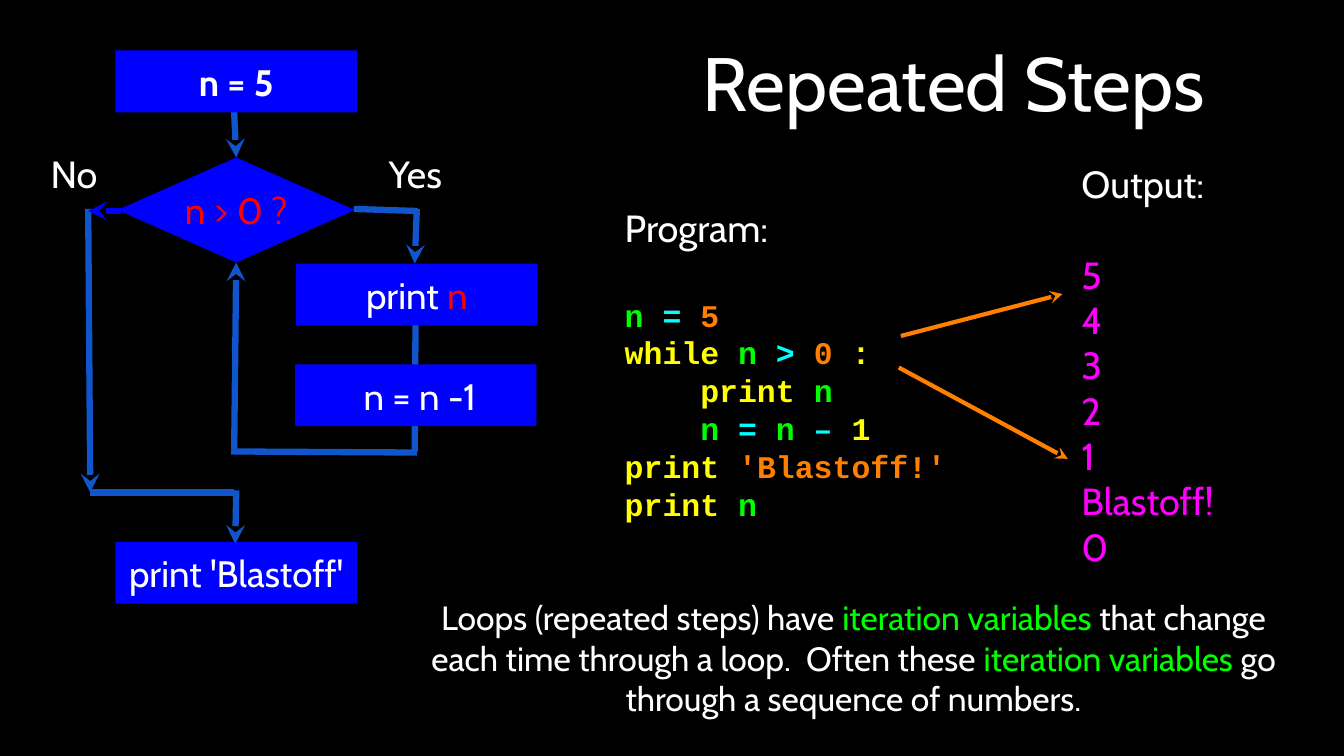
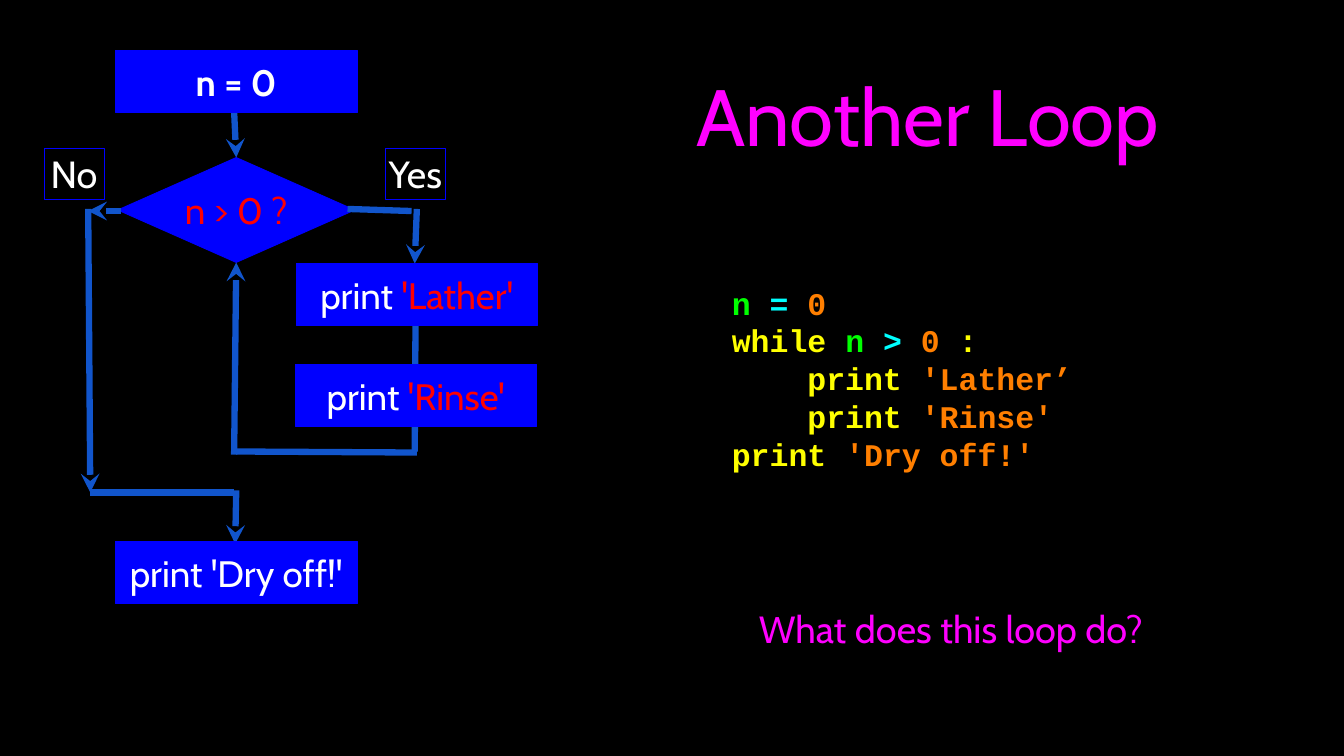
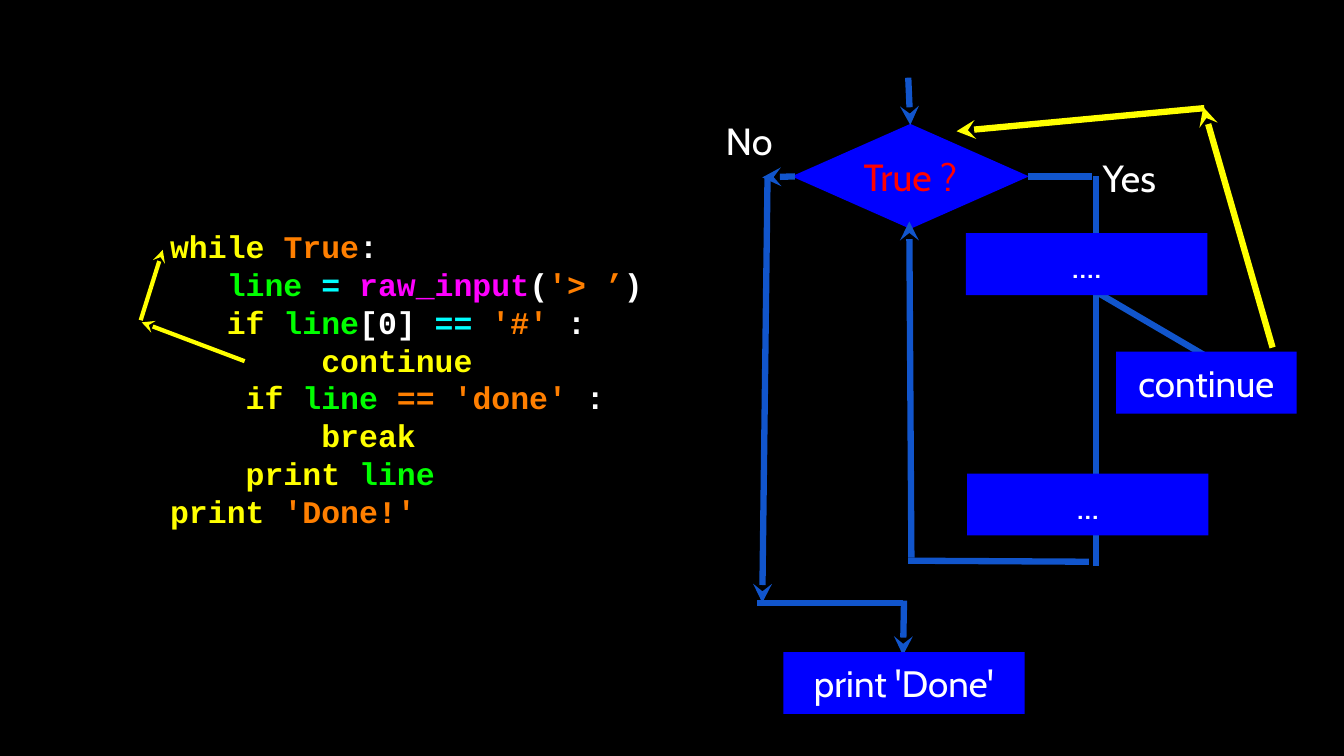
from pptx import Presentation
from pptx.dml.color import RGBColor
from pptx.enum import shapes, text
from pptx.oxml import parse_xml
from pptx.oxml.ns import nsdecls
from pptx.util import Pt

COLOURS = {
    "black": "000000", "white": "FFFFFF", "blue": "0000FF", "flow": "1155CC",
    "red": "FF0000", "green": "00FF00", "cyan": "00FFFF", "orange": "FF7F00",
    "yellow": "FFFF00", "magenta": "FF00FF",
}
BODY_FONT, CODE_FONT = "Cabin", "Courier New"
SLIDE_SIZE = (1280, 720)
BOX_SIZE, DIAMOND_SIZE, LABEL_SIZE = (230, 59), (226, 100), (57, 49)
BLANK_LINE = 43  # gap below a heading, one line of 36 pt text

# ---- Content: a text line is a list of (colour, words) ----
REPEATED_CODE = [
    [("green", "n "), ("cyan", "= "), ("orange", "5")],
    [("yellow", "while "), ("green", "n "), ("cyan", "> "), ("orange", "0"), ("yellow", " :")],
    [("yellow", "    print "), ("green", "n")],
    [("yellow", "    "), ("green", "n "), ("cyan", "= "), ("green", "n "), ("cyan", "–"),
     ("yellow", " 1")],
    [("yellow", "print "), ("orange", "'Blastoff!'")],
    [("yellow", "print "), ("green", "n")],
]
LATHER_CODE = [
    [("green", "n "), ("cyan", "= "), ("orange", "0")],
    [("yellow", "while "), ("green", "n "), ("cyan", "> "), ("orange", "0"), ("yellow", " :")],
    [("yellow", "    print "), ("orange", "'Lather’")],
    [("yellow", "    print "), ("orange", "'Rinse'")],
    [("yellow", "print "), ("orange", "'Dry off!'")],
]
CONTINUE_CODE = [
    [("yellow", "while "), ("orange", "True"), ("white", ":")],
    [("white", "   "), ("green", "line "), ("cyan", "= "), ("magenta", "raw_input"),
     ("white", "("), ("orange", "'> ’"), ("white", ")")],
    [("white", "   "), ("yellow", "if"), ("green", " line"), ("white", "[0] "), ("cyan", "== "),
     ("orange", "'#' "), ("white", ":")],
    [("white", "        "), ("yellow", "continue")],
    [("white", "    "), ("yellow", "if "), ("green", "line "), ("orange", "== 'done' "),
     ("white", ":")],
    [("white", "        "), ("yellow", "break")],
    [("white", "    "), ("yellow", "print "), ("green", "line")],
    [("yellow", "print "), ("orange", "'Done!'")],
]
OUTPUT = ["5", "4", "3", "2", "1", "Blastoff!", "0"]
LOOP_NOTE = [
    ("white", "Loops (repeated steps) have "), ("green", "iteration variables "),
    ("white", "that change each time through a loop.  Often these "),
    ("green", "iteration variables "), ("white", "go through a sequence of numbers."),
]
# Steps in order: start, first and second in the loop, end
REPEATED_STEPS = [
    [("white", "n = 5")], [("white", "print "), ("red", "n")],
    [("white", " n = n -1")], [("white", "print 'Blastoff'")],
]
LATHER_STEPS = [
    [("white", "n = 0")], [("white", "print "), ("red", "'Lather'")],
    [("white", "print "), ("red", "'Rinse'")], [("white", "print 'Dry off!'")],
]
STEP_PLACES = [(110, 48), (282, 251), (281, 347), (110, 516)]

# Lines: start, end, arrow at the end
LOOP_LINES = [
    ((223, 106), (225, 150), True),    # into the test
    ((223, 433), (225, 250), True),    # back to the test
    ((397, 199), (395, 251), True),    # into the loop body
    ((396, 265), (395, 430), False),
    ((225, 430), (397, 431), False),
    ((84, 199), (86, 469), True),      # past the loop
    ((86, 469), (223, 469), False),
    ((225, 467), (224, 518), True),
]
CONTINUE_LINES = [
    ((865, 74), (867, 119), True),     # into the test
    ((868, 531), (866, 211), True),    # back to the test
    ((979, 168), (1040, 168), False),  # Yes branch
    ((1044, 168), (1044, 539), False),
    ((865, 534), (1037, 535), False),
    ((757, 168), (726, 169), True),    # No branch
    ((731, 168), (726, 574), True),
    ((721, 574), (860, 574), False),
    ((861, 572), (860, 624), True),
    ((1150, 340), (1039, 275), False),  # side step
]
CONTINUE_BOXES = [
    ((746, 621), BOX_SIZE, "print 'Done'"), ((921, 451), BOX_SIZE, "..."),
    ((920, 222), BOX_SIZE, "...."), ((1063, 335), (172, 59), "continue"),
]


# ---- Building blocks ----
def colour(name):
    return RGBColor.from_string(COLOURS[name])


def write(shape, lines, size, font=BODY_FONT, bold=False, align="CENTER", heading=None):
    """Fill a shape with coloured lines, below an optional 36 pt heading."""
    frame = shape.text_frame
    frame.word_wrap = True
    frame.vertical_anchor = text.MSO_ANCHOR.MIDDLE
    frame.margin_left = frame.margin_right = frame.margin_top = frame.margin_bottom = 0
    entries = [(line, size, font, bold) for line in lines]
    if heading:
        entries.insert(0, ([("white", heading)], 36, BODY_FONT, False))
    for index, (line, points, face, heavy) in enumerate(entries):
        paragraph = frame.add_paragraph() if index else frame.paragraphs[0]
        paragraph.alignment = getattr(text.PP_ALIGN, align)
        paragraph.font.size, paragraph.font.name, paragraph.font.bold = Pt(points), face, heavy
        if face == CODE_FONT:
            paragraph.line_spacing = Pt(36)
        if heading and index == 0:
            paragraph.space_after = Pt(BLANK_LINE)
        for name, words in line:
            run = paragraph.add_run()
            run.text = words
            run.font.color.rgb = colour(name)


def add_text(slide, place, size, lines, points=36, **style):
    box = slide.shapes.add_textbox(*map(Pt, place + size))
    write(box, lines, points, **style)


def add_code(slide, place, size, lines, heading=None):
    add_text(slide, place, size, lines, 30, font=CODE_FONT, bold=True, align="LEFT",
             heading=heading)


def add_box(slide, place, size, line, points=35, kind="RECTANGLE", bold=False,
            filled=True, outlined=False):
    shape = slide.shapes.add_shape(getattr(shapes.MSO_SHAPE, kind), *map(Pt, place + size))
    shape.shadow.inherit = False
    if filled:
        shape.fill.solid()
        shape.fill.fore_color.rgb = colour("blue")
    else:
        shape.fill.background()
    if outlined:
        shape.line.color.rgb = colour("blue")
        shape.line.width = Pt(0.75)
    else:
        shape.line.fill.background()
    write(shape, [line], points, bold=bold)


def add_line(slide, start, end, arrow=True, name="flow", width=6):
    connector = slide.shapes.add_connector(shapes.MSO_CONNECTOR.STRAIGHT,
                                           *map(Pt, start + end))
    connector.line.color.rgb = colour(name)
    connector.line.width = Pt(width)
    if arrow:
        connector.line._get_or_add_ln().append(
            parse_xml(f'<a:tailEnd {nsdecls("a")} type="stealth"/>'))
    connector._element.spPr.append(parse_xml(f'<a:effectLst {nsdecls("a")}/>'))


def add_label(slide, place, words, outlined=False):
    if outlined:
        add_box(slide, place, LABEL_SIZE, [("white", words)], 36, filled=False, outlined=True)
    else:
        add_text(slide, place, LABEL_SIZE, [[("white", words)]])


def add_slide(presentation):
    slide = presentation.slides.add_slide(presentation.slide_layouts[6])
    slide.background.fill.solid()
    slide.background.fill.fore_color.rgb = colour("black")
    return slide


def add_loop_chart(slide, steps, yes_start, no_colour="flow", outlined=False):
    """Flowchart of a loop with a test on n and two steps in its body."""
    add_box(slide, (112, 150), DIAMOND_SIZE, [("red", "n > 0 ?")], kind="DIAMOND",
            outlined=outlined)
    for start, end, arrow in LOOP_LINES:
        add_line(slide, start, end, arrow)
    add_line(slide, (yes_start, 199), (yes_start + 61, 201), False)
    add_line(slide, (115, 201), (84, 201), name=no_colour)
    for index, (place, step) in enumerate(zip(STEP_PLACES, steps)):
        add_box(slide, place, BOX_SIZE, step, bold=index == 0, outlined=outlined)
    add_label(slide, (42, 141), "No", outlined)
    add_label(slide, (367, 141), "Yes", outlined)


# ---- Slides ----
def build_repeated_steps(presentation):
    slide = add_slide(presentation)
    add_text(slide, (601, 12), (615, 131), [[("white", "Repeated Steps")]], 72)
    add_loop_chart(slide, REPEATED_STEPS, 337, no_colour="blue")
    add_code(slide, (595, 172), (323, 349), REPEATED_CODE, heading="Program:")
    add_text(slide, (1030, 159), (136, 377), [[("magenta", value)] for value in OUTPUT],
             align="LEFT", heading="Output:")
    for start, end in [((858, 320), (1012, 280)), ((856, 350), (1017, 437))]:
        add_line(slide, start, end, name="orange", width=4)
    add_text(slide, (395, 561), (836, 131), [LOOP_NOTE], 32)


def build_another_loop(presentation):
    slide = add_slide(presentation)
    add_text(slide, (624, 19), (519, 181), [[("magenta", "Another Loop")]], 76)
    add_loop_chart(slide, LATHER_STEPS, 331, outlined=True)
    add_code(slide, (697, 251), (369, 218), LATHER_CODE)
    add_text(slide, (721, 574), (369, 49), [[("magenta", "What does this loop do?")]])


def build_continue(presentation):
    slide = add_slide(presentation)
    add_box(slide, (754, 118), DIAMOND_SIZE, [("red", "True ?")], 36, kind="DIAMOND")
    for start, end, arrow in CONTINUE_LINES:
        add_line(slide, start, end, arrow)
    for start, end in [((1147, 103), (911, 125)), ((1212, 331), (1146, 102))]:
        add_line(slide, start, end, name="yellow")
    for place, size, words in CONTINUE_BOXES:
        add_box(slide, place, size, [("white", words)])
    add_label(slide, (685, 109), "No")
    add_label(slide, (1047, 144), "Yes")
    add_code(slide, (162, 186), (495, 349), CONTINUE_CODE)
    for start, end in [((134, 305), (155, 238)), ((233, 344), (135, 307))]:
        add_line(slide, start, end, name="yellow", width=4)


def main():
    presentation = Presentation()
    presentation.slide_width, presentation.slide_height = map(Pt, SLIDE_SIZE)
    build_repeated_steps(presentation)
    build_another_loop(presentation)
    build_continue(presentation)
    presentation.save("out.pptx")


if __name__ == "__main__":
    main()
